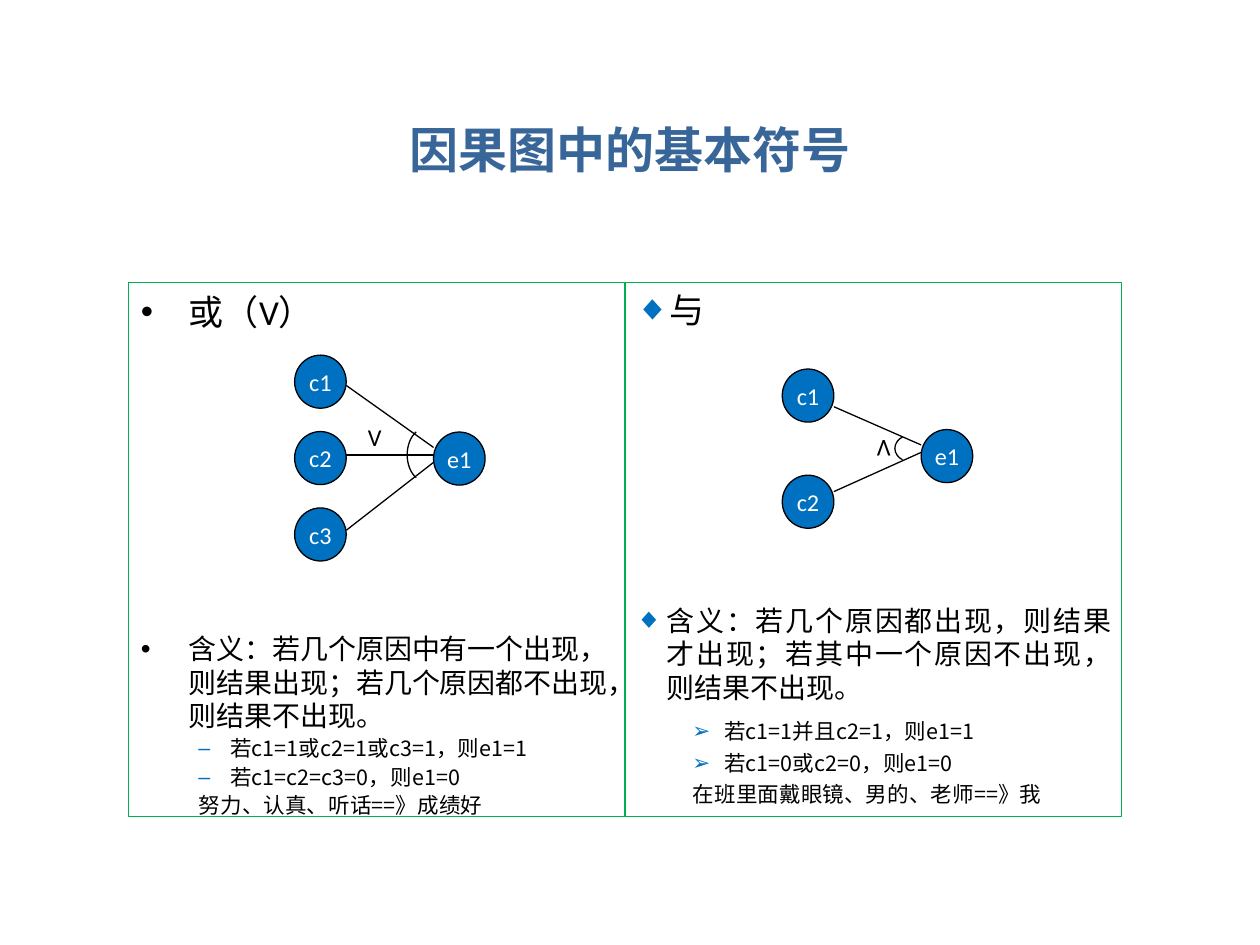
"""Build a slide on the OR and AND symbols of cause-effect graphs."""
import pptx
import pptx.util
import pptx.dml.color
import pptx.enum.shapes
import pptx.enum.text
import pptx.oxml.ns
from lxml import etree

Cm, Pt = pptx.util.Cm, pptx.util.Pt
SHAPE = pptx.enum.shapes.MSO_SHAPE
ALIGN = pptx.enum.text.PP_ALIGN
ANCHOR = pptx.enum.text.MSO_ANCHOR
qn = pptx.oxml.ns.qn

THEME = dict(
    title="386698", border="00B050", accent="0070C0", text="000000", paper="FFFFFF",
    heading=20, body=16, detail=12.3, node=13.8, title_size=28, line=0.75,
    latin="Calibri", cjk="Noto Sans CJK SC", title_font="Cabin",
)
TITLE = "因果图中的基本符号"
PANELS = [
    dict(
        heading="或（V）", heading_font=THEME["latin"],
        meaning="含义：若几个原因中有一个出现，则结果出现；若几个原因都不出现，则结果不出现。",
        details=["若c1=1或c2=1或c3=1，则e1=1", "若c1=c2=c3=0，则e1=0"],
        example="努力、认真、听话==》成绩好",
        bullet="•", bullet_color=THEME["text"], detail_bullet="–", hang=0.97,
        align=ALIGN.LEFT, inset=(0.25, 0.13), gap=171, detail_gap=0, pitch=16.3,
        x=5.94, causes=[("c1", 7.16), ("c2", 8.7), ("c3", 10.24)], effect_y=8.71,
        links=[(7.77, 9.02), (9.17, 9.17), (10.69, 9.32)],
        label=(1.22, 8.38), rotation=0, arc=(9.17, 0.53, 111.3),
    ),
    dict(
        heading="与", heading_font=THEME["cjk"],
        meaning="含义：若几个原因都出现，则结果才出现；若其中一个原因不出现，则结果不出现。",
        details=["若c1=1并且c2=1，则e1=1", "若c1=0或c2=0，则e1=0"],
        example="在班里面戴眼镜、男的、老师==》我",
        bullet="◆", bullet_color=THEME["accent"], detail_bullet="➢", hang=0.64,
        align=ALIGN.JUSTIFY, inset=(0.2, 0.1), gap=155.5, detail_gap=5, pitch=18,
        x=15.77, causes=[("c1", 7.44), ("c2", 9.58)], effect_y=8.66,
        links=[(8.2, 8.97), (9.91, 9.12)],
        label=(1.65, 8.66), rotation=180, arc=(9.04, 0.28, 132),
    ),
]
PANEL_X, PANEL_Y, PANEL_W, PANEL_H = 2.59, 5.69, 10.01, 10.77
NODE_W, NODE_H, EFFECT_DX = 1.04, 1.07, 2.8
ARC_DX, ARC_RX = 2.63, 0.36
LABEL_W, LABEL_H = 0.79, 0.84


def rgb(value):
    return pptx.dml.color.RGBColor.from_string(value)


def write(p, text, size=16, color=THEME["text"], font=THEME["cjk"], bold=False,
          align=ALIGN.LEFT, before=0, pitch=None, margin=0, hang=0,
          bullet=None, bullet_color=THEME["accent"], level=0):
    p.alignment, p.level = align, level
    p.space_before, p.space_after = Pt(before), Pt(0)
    if pitch:
        p.line_spacing = Pt(pitch)
    pPr = p._p.get_or_add_pPr()
    pPr.set("marL", str(Cm(margin)))
    pPr.set("indent", str(-Cm(hang)))
    if bullet:
        clr = etree.SubElement(pPr, qn("a:buClr"))
        etree.SubElement(clr, qn("a:srgbClr"), val=bullet_color)
        etree.SubElement(pPr, qn("a:buFont"), typeface="Arial")
        etree.SubElement(pPr, qn("a:buChar"), char=bullet)
    else:
        etree.SubElement(pPr, qn("a:buNone"))
    r = p.add_run()
    r.text = text
    r.font.size, r.font.bold, r.font.name = Pt(size), bold, font
    r.font.color.rgb = rgb(color)
    etree.SubElement(r._r.get_or_add_rPr(), qn("a:ea"), typeface=THEME["cjk"])


def add_shape(shapes, kind, x, y, w, h, fill=None, line=None):
    sp = shapes.add_shape(kind, Cm(x), Cm(y), Cm(w), Cm(h))
    sp.shadow.inherit = False
    if fill:
        sp.fill.solid()
        sp.fill.fore_color.rgb = rgb(fill)
    else:
        sp.fill.background()
    if line:
        sp.line.color.rgb = rgb(line)
        sp.line.width = Pt(THEME["line"])
    else:
        sp.line.fill.background()
    return sp


def add_caption(sp, text, color):
    tf = sp.text_frame
    tf.word_wrap = False
    tf.vertical_anchor = ANCHOR.MIDDLE
    tf.margin_left = tf.margin_right = tf.margin_top = tf.margin_bottom = 0
    write(tf.paragraphs[0], text, size=THEME["node"], color=color,
          font=THEME["latin"], align=ALIGN.CENTER)


def add_node(shapes, text, x, y):
    sp = add_shape(shapes, SHAPE.OVAL, x, y, NODE_W, NODE_H, THEME["accent"], THEME["text"])
    add_caption(sp, text, THEME["paper"])


def add_link(shapes, x1, y1, x2, y2):
    line = shapes.add_connector(pptx.enum.shapes.MSO_CONNECTOR.STRAIGHT,
                                Cm(x1), Cm(y1), Cm(x2), Cm(y2))
    line.line.color.rgb = rgb(THEME["text"])
    line.line.width = Pt(THEME["line"])
    etree.SubElement(line._element.spPr, qn("a:effectLst"))


def add_panel(s, panel, x):
    sp = add_shape(s.shapes, SHAPE.RECTANGLE, x, PANEL_Y, PANEL_W, PANEL_H,
                   line=THEME["border"])
    tf = sp.text_frame
    tf.word_wrap = True
    tf.vertical_anchor = ANCHOR.TOP
    side, top = panel["inset"]
    tf.margin_left = tf.margin_right = Cm(side)
    tf.margin_top = tf.margin_bottom = Cm(top)
    main = dict(align=panel["align"], margin=panel["hang"], hang=panel["hang"],
                bullet=panel["bullet"], bullet_color=panel["bullet_color"])
    sub = dict(size=THEME["detail"], pitch=panel["pitch"], level=1)
    write(tf.paragraphs[0], panel["heading"], size=THEME["heading"], pitch=25,
          font=panel["heading_font"], **main)
    write(tf.add_paragraph(), panel["meaning"], size=THEME["body"], pitch=19.2,
          before=panel["gap"], **main)
    for i, text in enumerate(panel["details"]):
        write(tf.add_paragraph(), text, before=0 if i else panel["detail_gap"],
              margin=1.8, hang=0.64, bullet=panel["detail_bullet"], **sub)
    write(tf.add_paragraph(), panel["example"], margin=1.17, **sub)


def add_graph(s, panel):
    shapes = s.shapes.add_group_shape().shapes
    x = panel["x"]
    dx, y = panel["label"]
    label = add_shape(shapes, SHAPE.RECTANGLE, x + dx, y, LABEL_W, LABEL_H, THEME["paper"])
    label.rotation = panel["rotation"]
    add_caption(label, "V", THEME["text"])
    cy, ry, start = panel["arc"]
    arc = add_shape(shapes, SHAPE.ARC, x + ARC_DX - ARC_RX, cy - ry, 2 * ARC_RX, 2 * ry,
                    line=THEME["text"])
    arc.adjustments[0] = start * 0.6
    arc.adjustments[1] = (360 - start) * 0.6
    for y1, y2 in panel["links"]:
        add_link(shapes, x + NODE_W, y1, x + EFFECT_DX, y2)
    for text, y in panel["causes"]:
        add_node(shapes, text, x, y)
    add_node(shapes, "e1", x + EFFECT_DX, panel["effect_y"])


def main():
    prs = pptx.Presentation()
    prs.slide_width, prs.slide_height = Cm(25.4), Cm(19.05)
    s = prs.slides.add_slide(prs.slide_layouts[5])
    title = s.shapes.title
    title.left, title.top, title.width, title.height = Cm(1.27), Cm(2.26), Cm(22.86), Cm(1.47)
    title.text_frame.vertical_anchor = ANCHOR.MIDDLE
    write(title.text_frame.paragraphs[0], TITLE, size=THEME["title_size"],
          color=THEME["title"], font=THEME["title_font"], bold=True, align=ALIGN.CENTER)
    for i, panel in enumerate(PANELS):
        add_panel(s, panel, PANEL_X + i * PANEL_W)
        add_graph(s, panel)
    prs.save("out.pptx")


if __name__ == "__main__":
    main()
